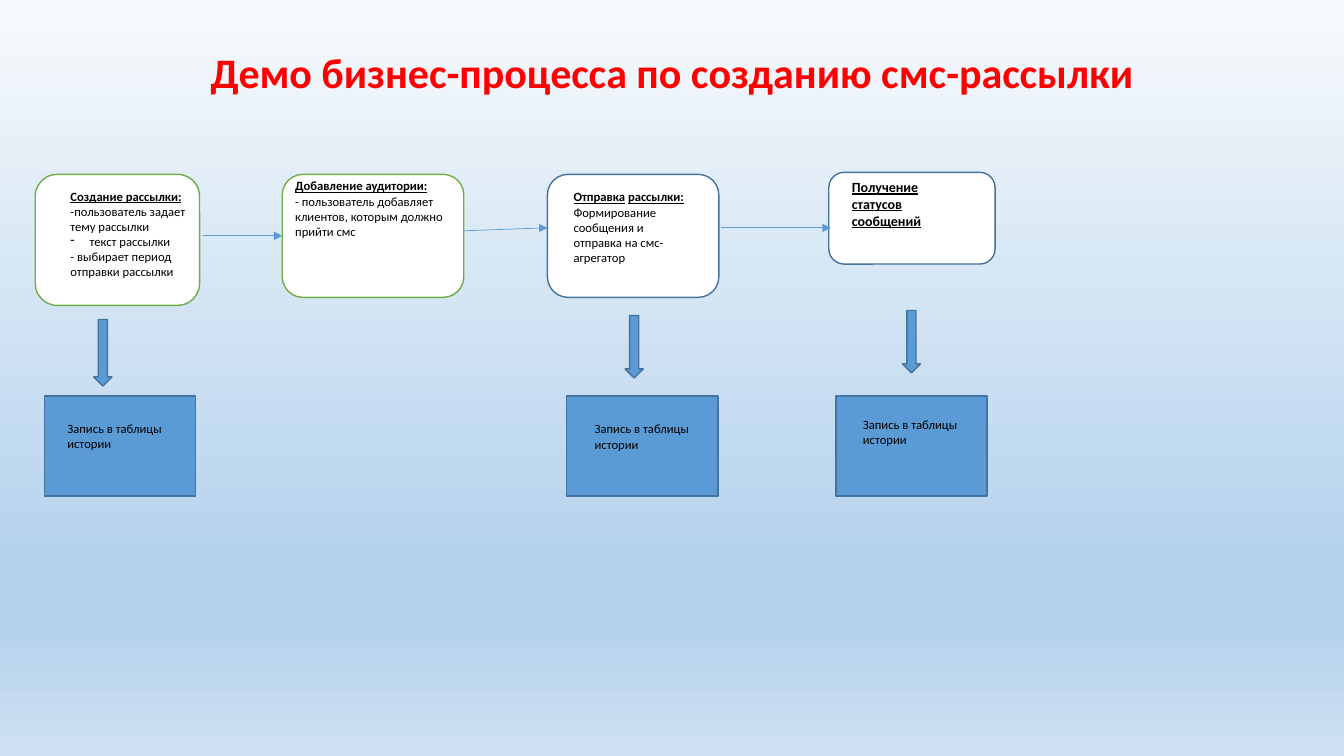
from copy import deepcopy
from typing import NamedTuple

from lxml import etree
from pptx import Presentation
from pptx.dml.color import RGBColor
from pptx.enum import shapes, text
from pptx.oxml import ns
from pptx.util import Inches, Pt

COLORS = {
    "title": "FF0000",
    "ink": "000000",
    "white": "FFFFFF",
    "green": "70AD47",
    "blue": "5B9BD5",
    "navy": "43739E",
}
SKY = [(0, "F7FAFD"), (0.74, "B5D2EC"), (0.83, "B5D2EC"), (1, "CEE1F2")]
FONT = "Calibri"
KIND = shapes.MSO_SHAPE


class Box(NamedTuple):
    """Left, top, width and height in inches."""
    left: float
    top: float
    width: float
    height: float

    def lengths(self) -> list:
        """Return the four values as lengths."""
        return [Inches(value) for value in self]


class Run(NamedTuple):
    """A piece of text; headings are bold and underlined."""
    words: str
    heading: bool = False


class Line(NamedTuple):
    """One paragraph, with a hanging dash if asked."""
    runs: list
    dash: bool = False


class Step(NamedTuple):
    """A stage of the process and the caption on it."""
    box: Box
    outline: str
    caption: Box
    lines: list
    size: int = 9


class Record(NamedTuple):
    """A history entry: the arrow to it, its left edge and its caption."""
    arrow: Box
    left: float
    caption: Box


class Flow(NamedTuple):
    """Start and end of an arrow between two steps."""
    x1: float
    y1: float
    x2: float
    y2: float


STEPS = [
    Step(Box(0.35, 1.73, 1.63, 1.3), "green", Box(0.6, 1.82, 1.35, 1.21), [
        Line([Run("Создание рассылки:", True)]),
        Line([Run("-пользователь задает тему рассылки")]),
        Line([Run("текст рассылки")], dash=True),
        Line([Run("- выбирает период отправки рассылки")]),
    ]),
    Step(Box(2.8, 1.73, 1.8, 1.22), "green", Box(2.83, 1.72, 2.04, 0.71), [
        Line([Run("Добавление аудитории:", True)]),
        Line([Run("- пользователь добавляет клиентов, которым должно прийти смс")]),
    ]),
    Step(Box(5.43, 1.73, 1.7, 1.22), "navy", Box(5.59, 1.83, 1.34, 0.86), [
        Line([Run("Отправка", True), Run(" "), Run("рассылки:", True)]),
        Line([Run("Формирование сообщения и отправка на смс-агрегатор")]),
    ]),
    Step(Box(8.22, 1.71, 1.65, 0.91), "navy", Box(8.35, 1.72, 1.37, 0.61), [
        Line([Run("Получение статусов сообщений", True)]),
    ], size=10),
]
FLOWS = [
    Flow(2.01, 2.34, 2.8, 2.34),
    Flow(4.6, 2.29, 5.43, 2.26),
    Flow(7.15, 2.26, 8.24, 2.26),
]
RECORDS = [
    Record(Box(0.93, 3.17, 0.18, 0.66), 0.44, Box(0.57, 4.13, 1.26, 0.4)),
    Record(Box(6.2, 3.13, 0.18, 0.62), 5.62, Box(5.8, 4.13, 1.14, 0.71)),
    Record(Box(8.95, 3.08, 0.18, 0.62), 8.29, Box(8.46, 4.09, 1.28, 0.4)),
]
RECORD_LINES = [Line([Run("Запись в таблицы истории")])]


def rgb(name: str) -> RGBColor:
    """Look up a named colour."""
    return RGBColor.from_string(COLORS[name])


def write(paragraph, words: str, *, size: int, color: str = "ink",
          bold: bool = False, underline: bool = False) -> None:
    """Append formatted text to a paragraph."""
    run = paragraph.add_run()
    run.text = words
    font = run.font
    font.name, font.size = FONT, Pt(size)
    font.bold, font.underline = bold, underline
    font.color.rgb = rgb(color)


def add_dash(paragraph) -> None:
    """Give a paragraph a hanging dash bullet."""
    props = paragraph._p.get_or_add_pPr()
    props.set("marL", str(Inches(0.19)))
    props.set("indent", str(Inches(-0.19)))
    etree.SubElement(props, ns.qn("a:buChar")).set("char", "-")


def add_caption(slide, box: Box, lines: list, size: int = 9) -> None:
    """Place a wrapped caption that grows with its text."""
    frame = slide.shapes.add_textbox(*box.lengths()).text_frame
    frame.word_wrap = True
    frame.auto_size = text.MSO_AUTO_SIZE.SHAPE_TO_FIT_TEXT
    for index, line in enumerate(lines):
        paragraph = frame.add_paragraph() if index else frame.paragraphs[0]
        if line.dash:
            add_dash(paragraph)
        for run in line.runs:
            write(paragraph, run.words, size=size, bold=run.heading,
                  underline=run.heading)


def add_block(slide, kind, box: Box, fill: str, outline: str) -> None:
    """Draw a filled preset shape with a thin outline."""
    block = slide.shapes.add_shape(kind, *box.lengths())
    block.shadow.inherit = False
    block.fill.solid()
    block.fill.fore_color.rgb = rgb(fill)
    block.line.color.rgb = rgb(outline)
    block.line.width = Pt(1)


def add_flow(slide, flow: Flow) -> None:
    """Draw a thin arrow between two steps."""
    arrow = slide.shapes.add_connector(
        shapes.MSO_CONNECTOR.STRAIGHT, *[Inches(value) for value in flow])
    arrow.line.color.rgb = rgb("blue")
    arrow.line.width = Pt(0.5)
    head = etree.SubElement(arrow.line._get_or_add_ln(), ns.qn("a:tailEnd"))
    head.set("type", "triangle")
    etree.SubElement(arrow._element.spPr, ns.qn("a:effectLst"))


def paint_sky(slide) -> None:
    """Fill the background with a gradient from top to bottom."""
    fill = slide.background.fill
    fill.gradient()
    fill.gradient_angle = 270
    stop_list = slide.element.xpath(".//p:bg//a:gsLst")[0]
    while len(stop_list) < len(SKY):
        stop_list.append(deepcopy(stop_list[0]))
    for stop, (position, color) in zip(fill.gradient_stops, SKY):
        stop.position = position
        stop.color.rgb = RGBColor.from_string(color)


def add_title(slide, words: str) -> None:
    """Move and format the title placeholder."""
    title = slide.shapes.title
    title.left, title.top, title.width, title.height = Box(0.92, 0.4, 11.5, 0.69).lengths()
    frame = title.text_frame
    frame.auto_size = text.MSO_AUTO_SIZE.NONE
    frame.vertical_anchor = text.MSO_ANCHOR.MIDDLE
    heading = frame.paragraphs[0]
    heading.alignment = text.PP_ALIGN.CENTER
    heading.line_spacing = 0.9
    write(heading, words, size=30, color="title", bold=True)


deck = Presentation()
deck.slide_width, deck.slide_height = Inches(13.33), Inches(7.5)
process = deck.slides.add_slide(deck.slide_layouts[5])
paint_sky(process)
add_title(process, "Демо бизнес-процесса по созданию смс-рассылки")
for step in STEPS:
    add_block(process, KIND.ROUNDED_RECTANGLE, step.box, "white", step.outline)
    add_caption(process, step.caption, step.lines, step.size)
for flow in FLOWS:
    add_flow(process, flow)
for record in RECORDS:
    add_block(process, KIND.DOWN_ARROW, record.arrow, "blue", "navy")
    add_block(process, KIND.RECTANGLE, Box(record.left, 3.93, 1.5, 0.99), "blue", "navy")
    add_caption(process, record.caption, RECORD_LINES)
deck.save("out.pptx")
